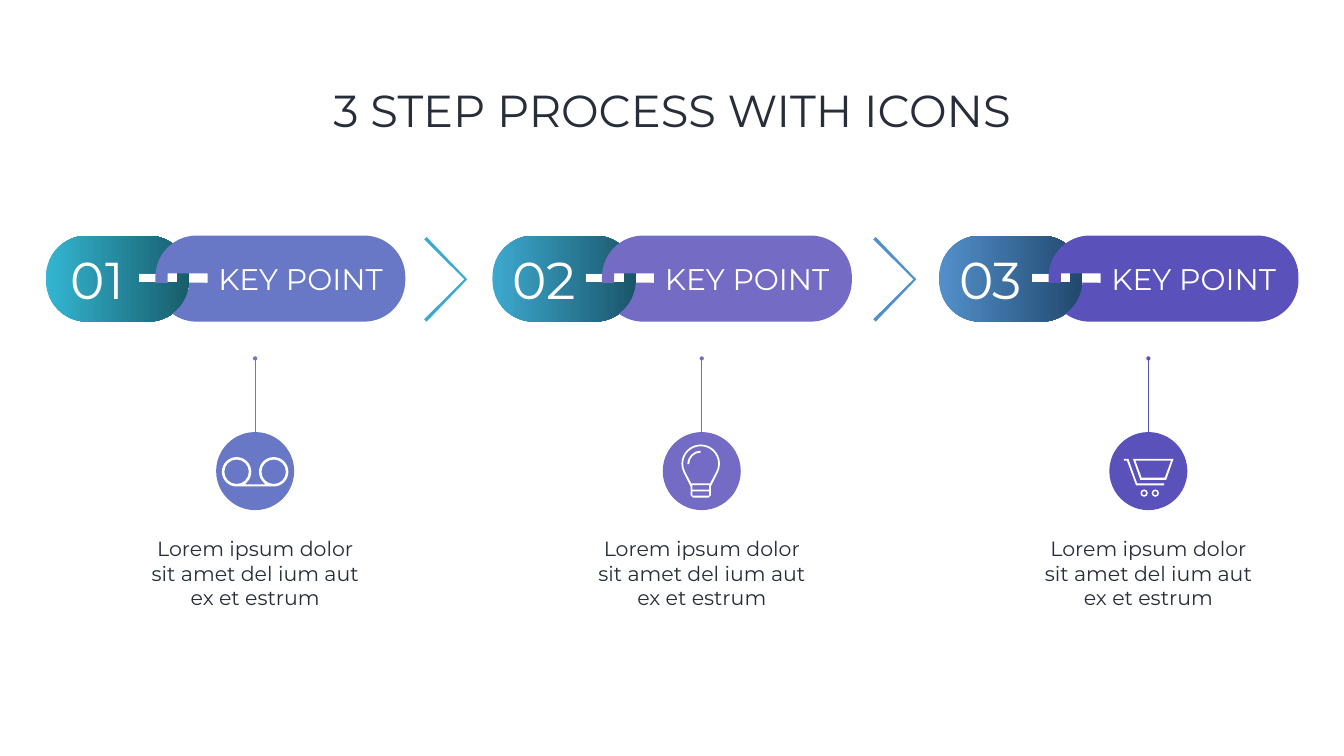
from dataclasses import dataclass
from math import cos, radians, sin, tan
from typing import Any

from lxml.etree import SubElement
from pptx import Presentation
from pptx.dml.color import RGBColor
from pptx.enum.shapes import MSO_CONNECTOR, MSO_SHAPE
from pptx.enum.text import MSO_ANCHOR, MSO_AUTO_SIZE, PP_ALIGN
from pptx.oxml.ns import qn
from pptx.util import Pt

Vertex = tuple[float, ...]
Contour = list[Vertex]
Outline = list[Contour]

WHITE = RGBColor(0xFF, 0xFF, 0xFF)
INK = RGBColor(0x27, 0x2E, 0x3A)
TEAL = RGBColor(0x33, 0xB6, 0xD2)
DARK_TEAL = RGBColor(0x18, 0x5C, 0x6B)
SKY = RGBColor(0x3D, 0xA9, 0xCF)
DARK_SKY = RGBColor(0x1B, 0x56, 0x6B)
BLUE = RGBColor(0x53, 0x90, 0xCB)
DARK_BLUE = RGBColor(0x21, 0x48, 0x6E)
PERIWINKLE = RGBColor(0x69, 0x77, 0xC7)
LILAC = RGBColor(0x74, 0x6B, 0xC5)
VIOLET = RGBColor(0x5B, 0x51, 0xBB)

LEFT, TOP, PITCH = 65.5, 336.5, 638
CENTER_X, CENTER_Y, DIAMETER = 299, 673, 111.5
LINE_TOP = 512
CHEVRON_X, CHEVRON_Y, CHEVRON_PITCH = 606, 338.5, 641.5
RADIUS = 59


@dataclass
class Step:
    number: str
    start: RGBColor
    end: RGBColor
    main: RGBColor
    icon: list[Outline]


def arc(cx: float, cy: float, r: float, start: float, end: float) -> Contour:
    low, high = sorted((start, end))
    quarters = [a for a in range(-360, 541, 90) if low < a < high]
    angles = sorted([start, *quarters, end], reverse=start > end)
    turns = [radians(a) for a in angles]
    points = [(cx + r * cos(a), cy + r * sin(a)) for a in turns]
    result: Contour = [points[0]]
    for a, b, (x1, y1), (x2, y2) in zip(turns, turns[1:], points, points[1:]):
        k = 4 / 3 * tan((b - a) / 4) * r
        result.append((x1 - k * sin(a), y1 + k * cos(a),
                       x2 + k * sin(b), y2 - k * cos(b), x2, y2))
    return result


def circle(cx: float, cy: float, r: float) -> Contour:
    return arc(cx, cy, r, 0, 360)


def box(x1: float, y1: float, x2: float, y2: float) -> Contour:
    return [(x1, y1), (x2, y1), (x2, y2), (x1, y2)]


NUMBER_LINK = [[
    (188, 67), (132.5, 67), (132.5, 53.5),
    *arc(215.5, 59, RADIUS, 185, 235),
    *arc(146, 59, RADIUS, -54, -90),
    *arc(59, 59, RADIUS, 270, 180),
    *arc(59, 64, RADIUS, 180, 90),
    *arc(146, 64, RADIUS, 90, 0),
    (205, 54), (188, 54),
]]
LABEL_LINK = [[
    *arc(215.5, 59, RADIUS, 270, 180),
    (156.5, 67.5), (174, 67.5), (174, 54), (231, 54), (231, 67.5),
    *arc(146, 64, RADIUS, 3, 54),
    *arc(215.5, 64, RADIUS, 126, 90),
    *arc(454.5, 64, RADIUS, 90, 0),
    *arc(454.5, 59, RADIUS, 0, -90),
]]
CHEVRON = [[(3.5, 0), (61.5, 60.5), (3.5, 121), (0, 117.5), (57.5, 60.5), (0, 3.5)]]

TAPE = [[
    [*arc(-26.5, 1, 21, 90, 408), (-14.5, 19), (14.5, 19),
     *arc(26.5, 1, 21, 132, 450)],
    circle(-26.5, 1, 17.5),
    circle(26.5, 1, 17.5),
]]
BULB = [
    [
        [*arc(-1.5, -10.5, 27.5, 152, 388), (13, 22), (13, 34.5), (9.5, 38),
         (-12.5, 38), (-16, 34.5), (-16, 22)],
        [*arc(-1.5, -10.5, 25, 152, 388), (12, 17.5), (-15, 17.5)],
        box(-13.5, 20, 10.5, 26.5),
        box(-13.5, 29, 10.5, 35),
    ],
    [[*arc(-1.5, -10, 19, 180, 270), *arc(-1.5, -10, 16.5, 270, 180)]],
]
CART = [
    *[[circle(x, 31.5, 5.25), circle(x, 31.5, 3)] for x in (-6, 10)],
    [[(22.5, 17.5), (-16, 17.5), (-28.5, -17.5), (-35, -17.5), (-35, -15),
      (-30.5, -15), (-17.5, 20.5), (22.5, 20.5)]],
    [
        [(-22, -17.5), (36, -17.5), (25.5, 12.5), (-11.5, 12.5)],
        [(-18.5, -15), (32.5, -15), (23.5, 9.5), (-9.5, 9.5)],
    ],
]

STEPS = [
    Step("01", TEAL, DARK_TEAL, PERIWINKLE, TAPE),
    Step("02", SKY, DARK_SKY, LILAC, BULB),
    Step("03", BLUE, DARK_BLUE, VIOLET, CART),
]


def finish(s: Any, color: RGBColor) -> None:
    s.shadow.inherit = False
    s.fill.solid()
    s.fill.fore_color.rgb = color
    s.line.fill.background()


def draw_outline(shapes: Any, outline: Outline, x: float, y: float,
                 color: RGBColor) -> Any:
    contours = [[tuple(Pt(v + (y if i % 2 else x)) for i, v in enumerate(vertex))
                 for vertex in contour] for contour in outline]
    builder = shapes.build_freeform(*contours[0][0])
    for i, contour in enumerate(contours):
        if i:
            builder.move_to(*contour[0])
        builder.add_line_segments([vertex[-2:] for vertex in contour[1:]])
    s = builder.convert_to_shape()
    segments = list(s._element.iter(qn("a:lnTo")))
    vertices = [vertex for contour in contours for vertex in contour[1:]]
    for segment, vertex in zip(segments, vertices):
        if len(vertex) == 6:
            end = segment[0]
            segment.tag = qn("a:cubicBezTo")
            for px, py in (vertex[:2], vertex[2:4]):
                SubElement(segment, qn("a:pt"), x=str(px - s.left), y=str(py - s.top))
            segment.append(end)
    finish(s, color)
    return s


def write(s: Any, text: str, size: float, color: RGBColor,
          frame: dict[str, Any], spacing: float = 1.0) -> None:
    tf = s.text_frame
    for name, value in {"word_wrap": True, **frame}.items():
        setattr(tf, name, value)
    p = tf.paragraphs[0]
    p.alignment = PP_ALIGN.CENTER
    p.line_spacing = spacing
    r = p.add_run()
    r.text = text
    for name, value in {"name": "Montserrat", "size": Pt(size)}.items():
        setattr(r.font, name, value)
    r.font.color.rgb = color


def link_frame(left: float, right: float) -> dict[str, Any]:
    return {"vertical_anchor": MSO_ANCHOR.MIDDLE,
            "margin_left": Pt(left), "margin_right": Pt(right),
            "margin_top": Pt(7.2), "margin_bottom": Pt(7.2)}


def draw_step(shapes: Any, step: Step, x: float) -> None:
    s = draw_outline(shapes, NUMBER_LINK, x, TOP, step.start)
    s.fill.gradient()
    s.fill.gradient_angle = 0
    for stop, position, color in zip(s.fill.gradient_stops, (0, 1),
                                     (step.start, step.end)):
        stop.position = position
        stop.color.rgb = color
    write(s, step.number, 74, WHITE, link_frame(14.4, 72))
    s = draw_outline(shapes, LABEL_LINK, x, TOP, step.main)
    write(s, "KEY POINT", 42.6, WHITE, link_frame(86.4, 28.8))
    cx, r = x + CENTER_X, DIAMETER / 2
    disc = shapes.add_shape(MSO_SHAPE.OVAL, Pt(cx - r), Pt(CENTER_Y - r),
                            Pt(DIAMETER), Pt(DIAMETER))
    finish(disc, step.main)
    line = shapes.add_connector(MSO_CONNECTOR.STRAIGHT, Pt(cx), Pt(CENTER_Y - r),
                                Pt(cx), Pt(LINE_TOP))
    line.begin_connect(disc, 0)
    line.line.width = Pt(1)
    line.line.color.rgb = step.main
    SubElement(line.line._get_or_add_ln(), qn("a:tailEnd"), type="oval")
    SubElement(line._element.spPr, qn("a:effectLst"))
    for part in step.icon:
        draw_outline(shapes, part, cx, CENTER_Y, WHITE)
    s = shapes.add_textbox(Pt(cx - 156), Pt(762.5), Pt(312), Pt(114))
    write(s, "Lorem ipsum dolor sit amet del ium aut ex et estrum", 29.3, INK,
          {"auto_size": MSO_AUTO_SIZE.SHAPE_TO_FIT_TEXT})


def main() -> None:
    prs = Presentation()
    prs.slide_width, prs.slide_height = Pt(1920), Pt(1080)
    shapes = prs.slides.add_slide(prs.slide_layouts[6]).shapes
    title = shapes.add_textbox(Pt(132), Pt(57.5), Pt(1656), Pt(209))
    write(title, "3 STEP PROCESS WITH ICONS", 64, INK,
          {"vertical_anchor": MSO_ANCHOR.MIDDLE}, 0.9)
    for i, step in enumerate(STEPS):
        draw_step(shapes, step, LEFT + i * PITCH)
    for i, step in enumerate(STEPS[1:]):
        draw_outline(shapes, CHEVRON, CHEVRON_X + i * CHEVRON_PITCH, CHEVRON_Y,
                     step.start)
    prs.save("out.pptx")


if __name__ == "__main__":
    main()
